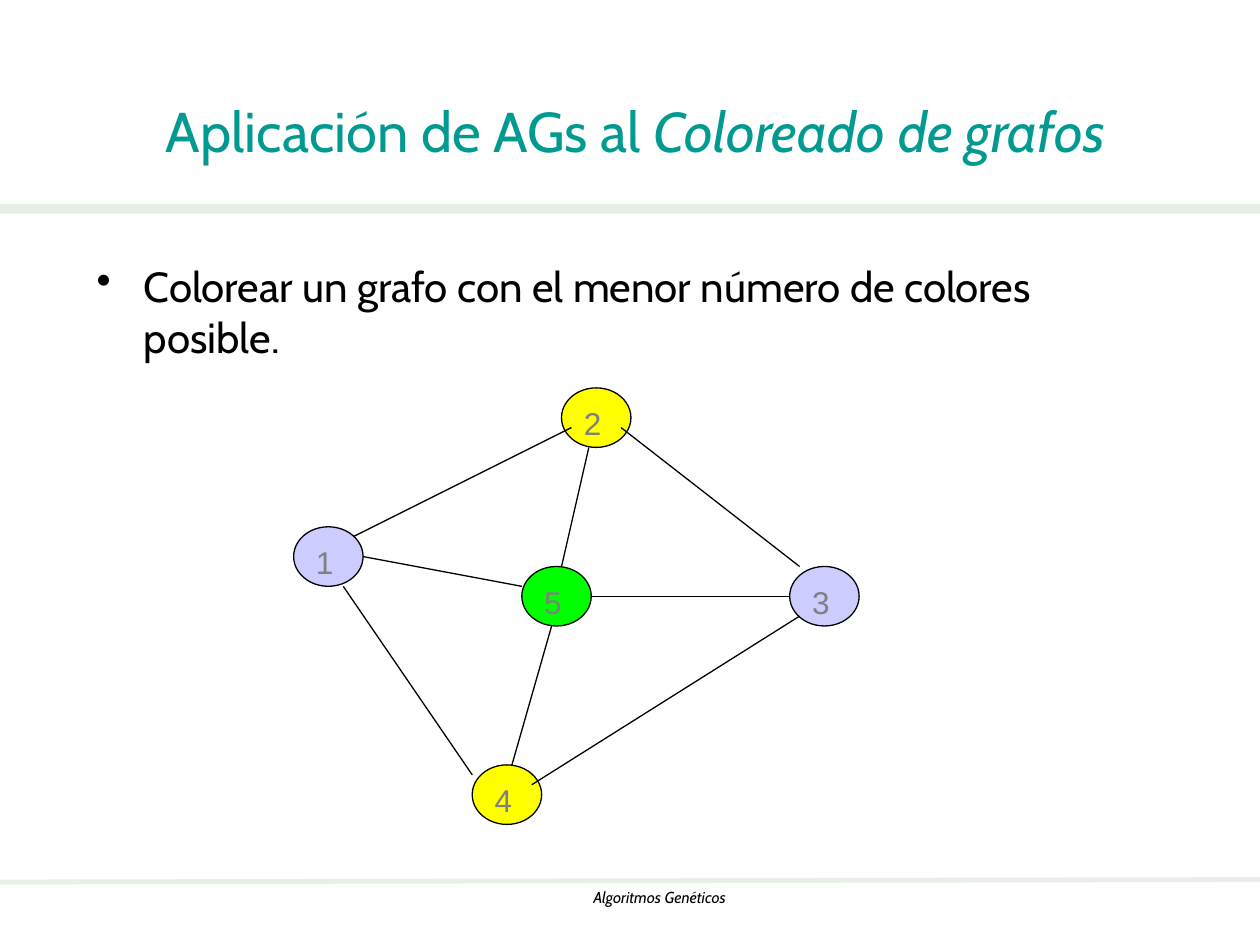
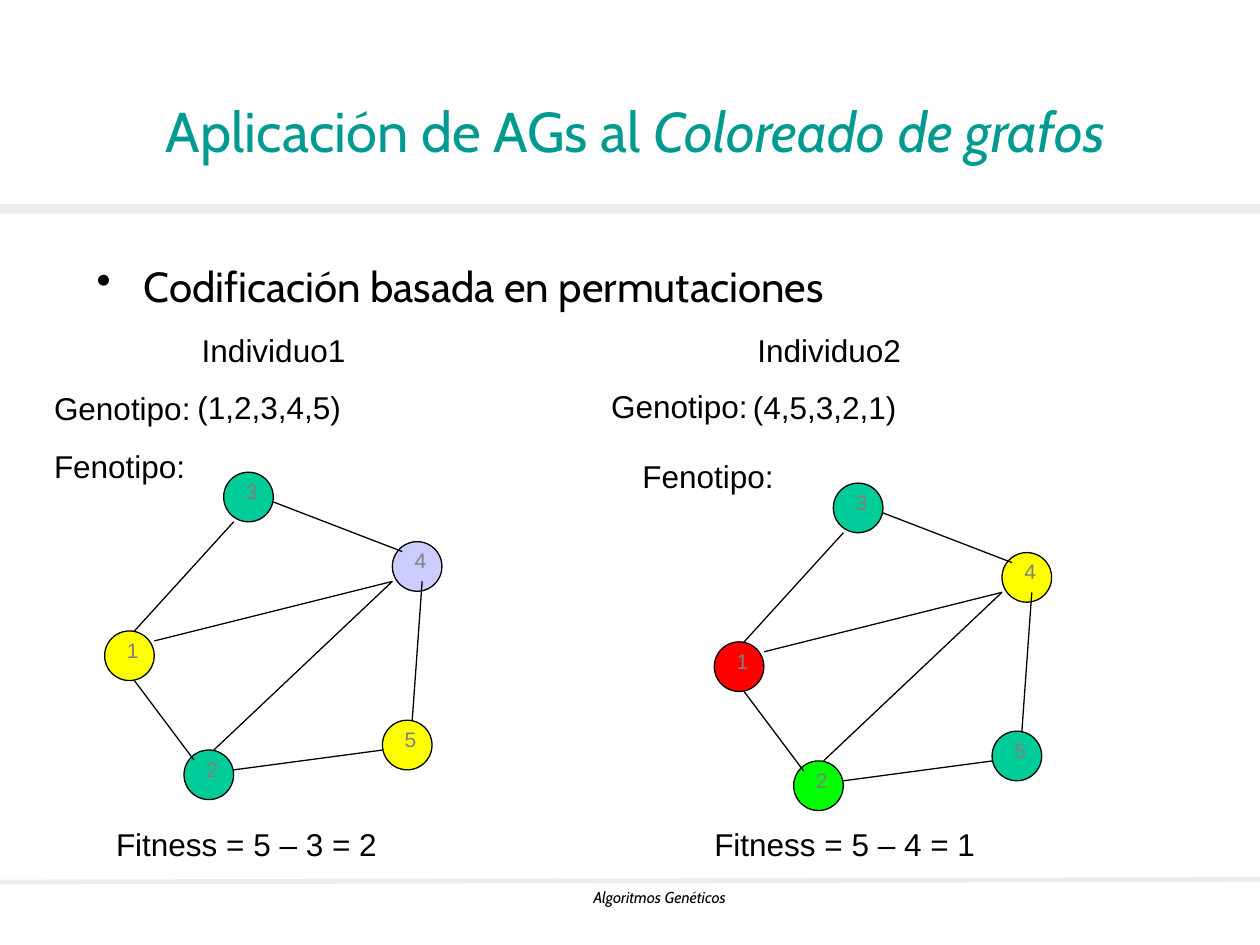
from dataclasses import dataclass

from lxml import etree
from pptx import Presentation
from pptx.dml.color import RGBColor
from pptx.enum import shapes, text
from pptx.oxml import ns
from pptx.util import Cm, Pt


@dataclass(frozen=True)
class Theme:
    heading_font: str = "Cabin"
    graph_font: str = "Arial"
    title_size: float = 32
    body_size: float = 24
    label_size: float = 18
    small_size: float = 12
    footer_size: float = 9
    thin_line: float = 0.75
    footer_line: float = 2.75
    title: str = "009A91"
    ink: str = "000000"
    number: str = "808080"
    band: str = "E7EFE7"
    lilac: str = "CCCCFF"
    yellow: str = "FFFF00"
    green: str = "00FF00"
    teal: str = "00CC99"
    red: str = "FF0000"


THEME = Theme()

# Content: all lengths in centimetres
TITLE = (("Aplicación de AGs al ", False), ("Coloreado de grafos", True))
FOOTER = "Algoritmos Genéticos"
GOAL = "Colorear un grafo con el menor número de colores posible."
ENCODING = "Codificación basada en permutaciones"

# Graphs: node corners and edge ends are measured from the graph's origin
EXAMPLE_GRAPH = {
    "node_size": (1.4, 1.2),
    "label_box": (0.2, 0.2, 1, 1.02),
    "label_size": THEME.label_size,
    "nodes": {"1": (0, 2.8), "2": (5.4, 0), "3": (10, 3.6),
              "4": (3.6, 7.6), "5": (4.6, 3.6)},
    "edges": [
        ((5.4, 3.6), (5.95, 1.2)),
        ((1.2, 3), (5.6, 0.8)),
        ((1, 4), (3.6, 7.8)),
        ((4.8, 8), (10.2, 4.6)),
        ((6.6, 0.8), (10.2, 3.6)),
        ((1.4, 3.4), (4.6, 4)),
        ((4.4, 7.6), (5.2, 4.8)),
        ((6, 4.2), (10, 4.2)),
    ],
}
EXAMPLE_COLOURS = {"1": THEME.lilac, "2": THEME.yellow, "3": THEME.lilac,
                   "4": THEME.yellow, "5": THEME.green}
EXAMPLE_ORIGIN = (5.92, 7.82)

PHENOTYPE_GRAPH = {
    "node_size": (1, 1),
    "label_box": (0.2, 0, 0.6, 0.76),
    "label_size": THEME.small_size,
    "nodes": {"3": (2.4, 0), "1": (0, 3.2), "4": (5.8, 1.4),
              "5": (5.6, 5), "2": (1.6, 5.6)},
    "edges": [
        ((0.6, 3.2), (2.6, 1)),
        ((3.4, 0.6), (6, 1.6)),
        ((0.6, 4.2), (1.8, 5.8)),
        ((2.6, 6), (5.6, 5.6)),
        ((6.4, 2.2), (6.2, 5)),
        ((2.2, 5.6), (5.8, 2.2)),
        ((1, 3.4), (5.8, 2.2)),
    ],
}
INDIVIDUALS = [
    {
        "heading": ("Individuo1", "(1,2,3,4,5) "), "heading_at": (1.07, 6.55),
        "genotype_at": (0.84, 7.72), "phenotype_at": (0.84, 8.89),
        "fitness": "Fitness = 5 – 3 = 2", "fitness_at": (1.07, 16.51),
        "origin": (2.11, 9.52),
        "colours": {"1": THEME.yellow, "2": THEME.teal, "3": THEME.teal,
                    "4": THEME.lilac, "5": THEME.yellow},
    },
    {
        "heading": ("Individuo2", "(4,5,3,2,1) "), "heading_at": (12.27, 6.55),
        "genotype_at": (12.07, 7.67), "phenotype_at": (12.7, 9.09),
        "fitness": "Fitness = 5 – 4 = 1", "fitness_at": (13.13, 16.51),
        "origin": (14.4, 9.74),
        "colours": {"1": THEME.red, "2": THEME.green, "3": THEME.teal,
                    "4": THEME.yellow, "5": THEME.teal},
    },
]


# Drawing helpers
def rgb(colour):
    return RGBColor.from_string(colour)


def cms(*lengths):
    return [Cm(length) for length in lengths]


def style(paragraph, size, colour, font, align=text.PP_ALIGN.LEFT, italic=None):
    paragraph.alignment = align
    paragraph.font.size = Pt(size)
    paragraph.font.name = font
    paragraph.font.italic = italic
    paragraph.font.color.rgb = rgb(colour)


def add_text(parent, box, *lines, size=THEME.label_size, colour=THEME.ink,
             font=THEME.graph_font, align=text.PP_ALIGN.LEFT, italic=None):
    frame = parent.add_textbox(*cms(*box)).text_frame
    frame.word_wrap = True
    for index, line in enumerate(lines):
        paragraph = frame.add_paragraph() if index else frame.paragraphs[0]
        paragraph.text = line
        if index:
            paragraph.space_before = Pt(11.2)
        style(paragraph, size, colour, font, align, italic)
    return frame


def add_line(parent, start, end, colour=THEME.ink, width=THEME.thin_line):
    line = parent.add_connector(shapes.MSO_CONNECTOR.STRAIGHT, *cms(*start, *end))
    line.line.color.rgb = rgb(colour)
    line.line.width = Pt(width)
    etree.SubElement(line._element.spPr, ns.qn("a:effectLst"))


def add_filled(parent, kind, box, fill, outline=None):
    shape = parent.add_shape(kind, *cms(*box))
    shape.shadow.inherit = False
    shape.fill.solid()
    shape.fill.fore_color.rgb = rgb(fill)
    if outline:
        shape.line.color.rgb = rgb(outline)
        shape.line.width = Pt(THEME.thin_line)
    else:
        shape.line.fill.background()


def add_bullet(slide, box, sentence):
    paragraph = add_text(slide.shapes, box, "").paragraphs[0]
    properties = paragraph._p.get_or_add_pPr()
    properties.set("marL", str(Cm(0.95)))
    properties.set("indent", str(-Cm(0.95)))
    etree.SubElement(properties, ns.qn("a:buChar"), char="•")
    paragraph.text = sentence
    style(paragraph, THEME.body_size, THEME.ink, THEME.heading_font)


def add_graph(slide, graph, origin, colours):
    group = slide.shapes.add_group_shape().shapes

    def place(point):
        return origin[0] + point[0], origin[1] + point[1]

    dx, dy, *label_extent = graph["label_box"]
    for number, corner in graph["nodes"].items():
        left, top = place(corner)
        add_filled(group, shapes.MSO_SHAPE.OVAL,
                   (left, top, *graph["node_size"]), colours[number], THEME.ink)
        add_text(group, (left + dx, top + dy, *label_extent), number,
                 size=graph["label_size"], colour=THEME.number)
    for start, end in graph["edges"]:
        add_line(group, place(start), place(end))


# Shared frame: footer line, band, footer and title
def add_framed_slide(deck):
    slide = deck.slides.add_slide(deck.slide_layouts[5])
    add_line(slide.shapes, (0, 17.78), (25.4, 17.73), THEME.band, THEME.footer_line)
    add_filled(slide.shapes, shapes.MSO_SHAPE.RECTANGLE,
               (0, 4.11, 25.4, 0.2), THEME.band)
    add_text(slide.shapes, (5.89, 17.78, 14.81, 0.64), FOOTER,
             size=THEME.footer_size, font=THEME.heading_font,
             align=text.PP_ALIGN.CENTER, italic=True)
    title = slide.shapes.title
    title.left, title.top, title.width, title.height = cms(1.7, 1.32, 22.23, 2.59)
    frame = title.text_frame
    frame.auto_size = text.MSO_AUTO_SIZE.NONE
    frame.vertical_anchor = text.MSO_ANCHOR.MIDDLE
    paragraph = frame.paragraphs[0]
    for words, italic in TITLE:
        run = paragraph.add_run()
        run.text = words
        run.font.italic = italic
    style(paragraph, THEME.title_size, THEME.title, THEME.heading_font,
          text.PP_ALIGN.CENTER)
    return slide


def add_individual(slide, individual):
    center = text.PP_ALIGN.CENTER
    parent = slide.shapes
    add_text(parent, (*individual["phenotype_at"], 4.65, 1.02), "Fenotipo:")
    add_graph(slide, PHENOTYPE_GRAPH, individual["origin"], individual["colours"])
    add_text(parent, (*individual["heading_at"], 8.89, 2.18),
             *individual["heading"], align=center)
    add_text(parent, (*individual["genotype_at"], 4.65, 1.02), "Genotipo:")
    add_text(parent, (*individual["fitness_at"], 7.8, 1.02),
             individual["fitness"], align=center)


def main():
    deck = Presentation()
    deck.slide_width, deck.slide_height = cms(25.4, 19.05)

    # The colouring problem
    problem = add_framed_slide(deck)
    add_bullet(problem, (1.7, 5.13, 21.59, 2.72), GOAL)
    add_graph(problem, EXAMPLE_GRAPH, EXAMPLE_ORIGIN, EXAMPLE_COLOURS)

    # Permutation encoding
    encoding = add_framed_slide(deck)
    add_bullet(encoding, (1.7, 5.13, 22.4, 12.19), ENCODING)
    for individual in INDIVIDUALS:
        add_individual(encoding, individual)

    deck.save("out.pptx")


if __name__ == "__main__":
    main()
